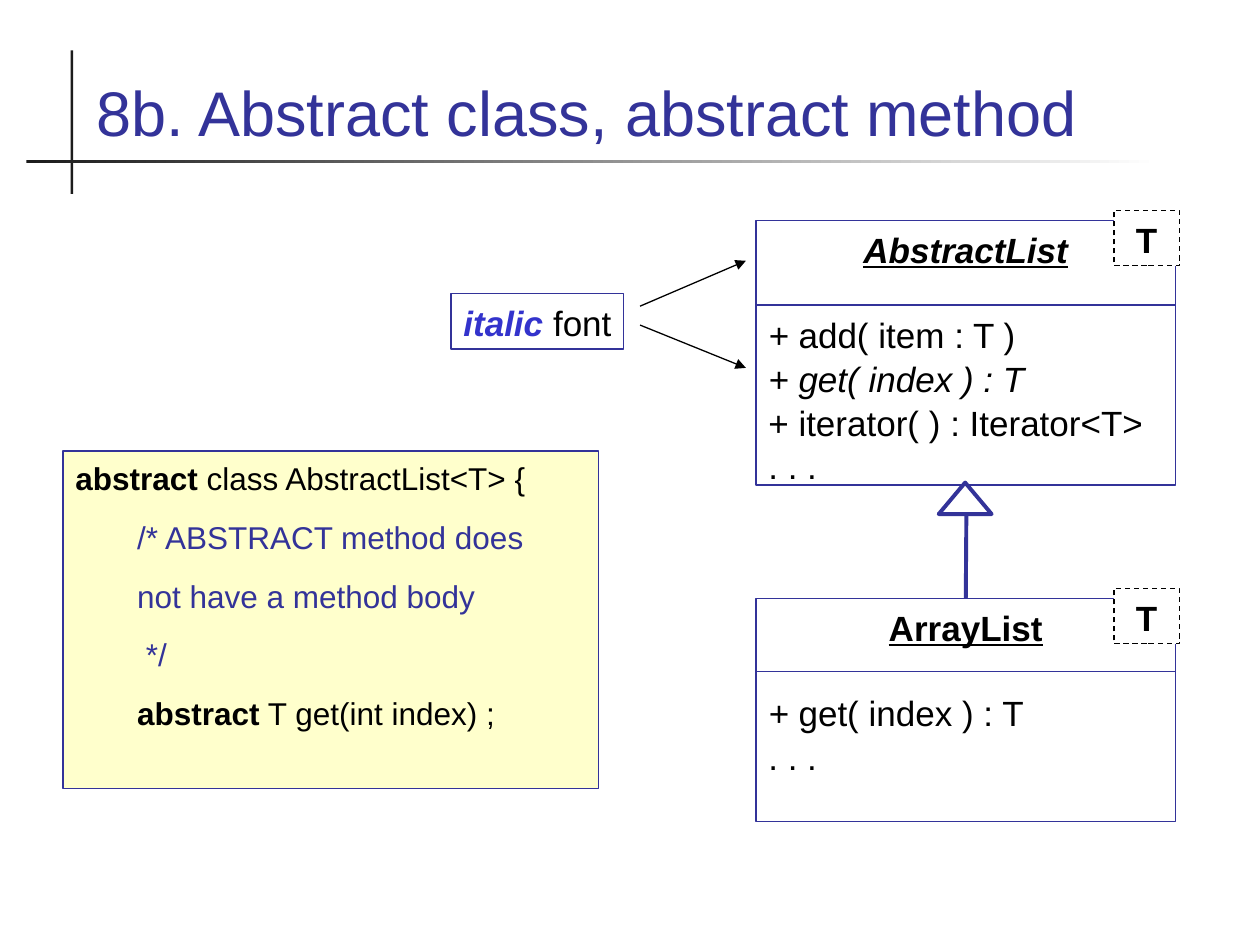
from dataclasses import dataclass

from lxml import etree
from pptx import Presentation
from pptx.dml.color import RGBColor
from pptx.enum.dml import MSO_LINE
from pptx.enum.shapes import MSO_CONNECTOR, MSO_SHAPE
from pptx.enum.text import MSO_ANCHOR, PP_ALIGN
from pptx.oxml.ns import qn
from pptx.util import Inches, Pt

RECTANGLE, TRIANGLE = MSO_SHAPE.RECTANGLE, MSO_SHAPE.ISOSCELES_TRIANGLE
STRAIGHT = MSO_CONNECTOR.STRAIGHT
DASH = MSO_LINE.DASH
TOP, BOTTOM = MSO_ANCHOR.TOP, MSO_ANCHOR.BOTTOM
LEFT, CENTER = PP_ALIGN.LEFT, PP_ALIGN.CENTER


@dataclass(frozen=True)
class Theme:
    font: str = "Arial"
    navy: str = "333399"
    blue: str = "3333CC"
    black: str = "000000"
    white: str = "FFFFFF"
    rule: str = "1C1C1C"
    cream: str = "FFFFCC"
    title_size: float = 36
    label_size: float = 20
    code_size: float = 18
    thin: float = 0.75
    thick: float = 2.25


THEME = Theme()
CLASS_LEFT, CLASS_WIDTH = 6, 3.33


def rgb(value):
    return RGBColor.from_string(value)


def add_box(page, left, top, width, height, kind=RECTANGLE, fill=None,
            line=THEME.navy, weight=THEME.thin, dash=None):
    box = page.shapes.add_shape(kind, Inches(left), Inches(top), Inches(width), Inches(height))
    box.shadow.inherit = False
    if fill:
        box.fill.solid()
        box.fill.fore_color.rgb = rgb(fill)
    else:
        box.fill.background()
    if line:
        box.line.color.rgb = rgb(line)
        box.line.width = Pt(weight)
        if dash:
            box.line.dash_style = dash
    else:
        box.line.fill.background()
    return box


def add_line(page, start, end, color=THEME.navy, weight=THEME.thin, arrow=False):
    line = page.shapes.add_connector(STRAIGHT, *(Inches(value) for value in (*start, *end)))
    line.line.color.rgb = rgb(color)
    line.line.width = Pt(weight)
    if arrow:
        etree.SubElement(line.line._get_or_add_ln(), qn("a:tailEnd"), type="triangle")
    etree.SubElement(line._element.spPr, qn("a:effectLst"))
    return line


def write(box, spans, first=False, size=THEME.label_size, color=THEME.black,
          align=LEFT, before=0, indent=0, spacing=1.04):
    """Add one paragraph; spans are (text, font overrides) pairs."""
    frame = box.text_frame
    para = frame.paragraphs[0] if first else frame.add_paragraph()
    para.alignment = align
    para.line_spacing = spacing
    para.space_before = Pt(before)
    if indent:
        para._p.get_or_add_pPr().set("marL", str(Inches(indent)))
    for text, overrides in spans:
        span = para.add_run()
        span.text = text
        span.font.name = THEME.font
        span.font.size = Pt(size)
        span.font.color.rgb = rgb(overrides.get("color", color))
        span.font.bold = overrides.get("bold", False)
        span.font.italic = overrides.get("italic", False)
        span.font.underline = overrides.get("underline", False)


def set_frame(box, anchor=TOP, wrap=True):
    box.text_frame.vertical_anchor = anchor
    box.text_frame.word_wrap = wrap


def add_title(page, text):
    add_box(page, 0.56, 0.4, 0.02, 1.14, fill=THEME.rule, line=None)
    rule = add_box(page, 0.21, 1.27, 8.99, 0.02, line=None)
    rule.fill.gradient()
    rule.fill.gradient_angle = 0
    for stop, color in zip(rule.fill.gradient_stops, (THEME.rule, THEME.white)):
        stop.color.rgb = rgb(color)
    title = page.shapes.add_textbox(Inches(0.67), Inches(0.28), Inches(8.66), Inches(0.95))
    set_frame(title, BOTTOM)
    write(title, [(text, {})], first=True, size=THEME.title_size, color=THEME.navy, spacing=1)


def add_class(page, name, members, top, height, divider, abstract=False):
    """Draw a UML class; its type parameter box is added by add_type_parameter."""
    box = add_box(page, CLASS_LEFT, top, CLASS_WIDTH, height)
    set_frame(box)
    heading = {"bold": True, "underline": True, "italic": abstract}
    write(box, [(name, heading)], first=True, align=CENTER)
    for index, spans in enumerate(members):
        write(box, spans, before=0 if index else 24)
    add_line(page, (CLASS_LEFT, divider), (CLASS_LEFT + CLASS_WIDTH, divider))
    return box


def add_type_parameter(page, class_top):
    box = add_box(page, 8.84, class_top - 0.08, 0.52, 0.44,
                  fill=THEME.white, line=THEME.black, dash=DASH)
    set_frame(box, wrap=False)
    write(box, [("T", {"bold": True})], first=True, align=CENTER)


def add_italic_note(page):
    for start, end in (((5.08, 2.58), (5.92, 2.92)), ((5.08, 2.43), (5.92, 2.07))):
        add_line(page, start, end, color=THEME.black, arrow=True)
    note = add_box(page, 3.58, 2.33, 1.37, 0.44)
    set_frame(note, wrap=False)
    emphasis = {"bold": True, "italic": True, "color": THEME.blue}
    write(note, [("italic ", emphasis), ("font", {})], first=True)


def add_code(page):
    box = add_box(page, 0.5, 3.58, 4.25, 2.68, fill=THEME.cream)
    set_frame(box)
    keyword = ("abstract", {"bold": True})
    comment = {"color": THEME.navy}
    write(box, [keyword, (" class AbstractList<T> {", {})], first=True, size=THEME.code_size)
    body = [
        [("/* ABSTRACT method does", comment)],
        [("not have a method body", comment)],
        [(" */", comment)],
        [keyword, (" T get(int index) ;", {})],
    ]
    for spans in body:
        write(box, spans, size=THEME.code_size, before=11.2, indent=0.49)


def main():
    deck = Presentation()
    deck.slide_width, deck.slide_height = Inches(10), Inches(7.5)
    page = deck.slides.add_slide(deck.slide_layouts[6])
    add_title(page, "8b. Abstract class, abstract method")

    italic = {"italic": True}
    parent_top, child_top = 1.75, 4.75
    add_class(page, "AbstractList", [
        [("+ ", italic), ("add( item : T )", {})],
        [("+ get( index ) : T", italic)],
        [("+ iterator( ) : Iterator<T>", {})],
        [(". . .", {})],
    ], parent_top, 2.1, 2.42, abstract=True)
    child = add_class(page, "ArrayList", [
        [("+ ", italic), ("get( index ) : T", {})],
        [(". . .", {})],
    ], child_top, 1.77, 5.33)

    inheritance = add_line(page, (7.67, child_top), (7.67, 4.07), weight=THEME.thick)
    inheritance.begin_connect(child, 0)
    add_box(page, 7.45, 3.83, 0.42, 0.25, kind=TRIANGLE, weight=THEME.thick)
    for class_top in (parent_top, child_top):
        add_type_parameter(page, class_top)

    add_italic_note(page)
    add_code(page)
    deck.save("out.pptx")


if __name__ == "__main__":
    main()
